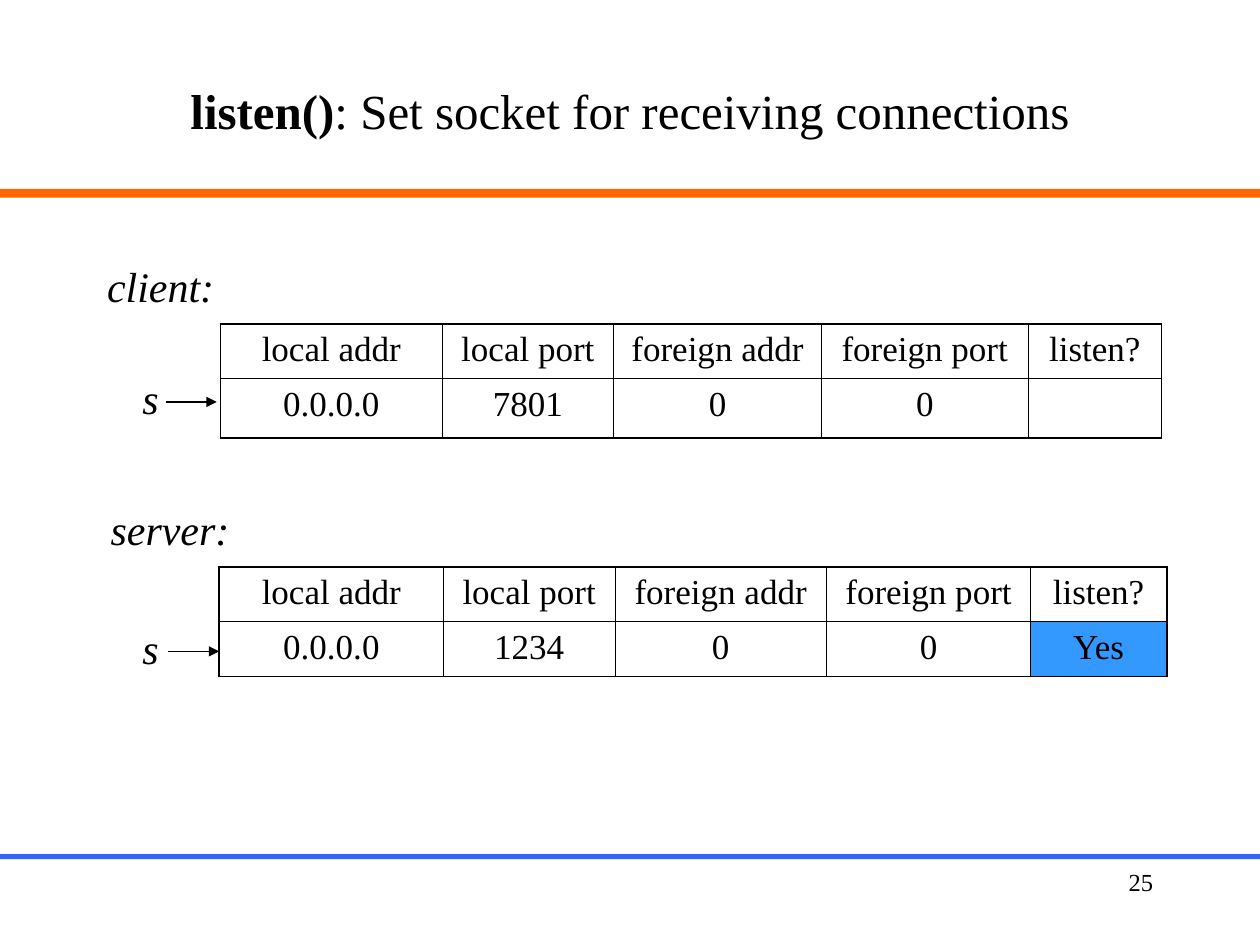
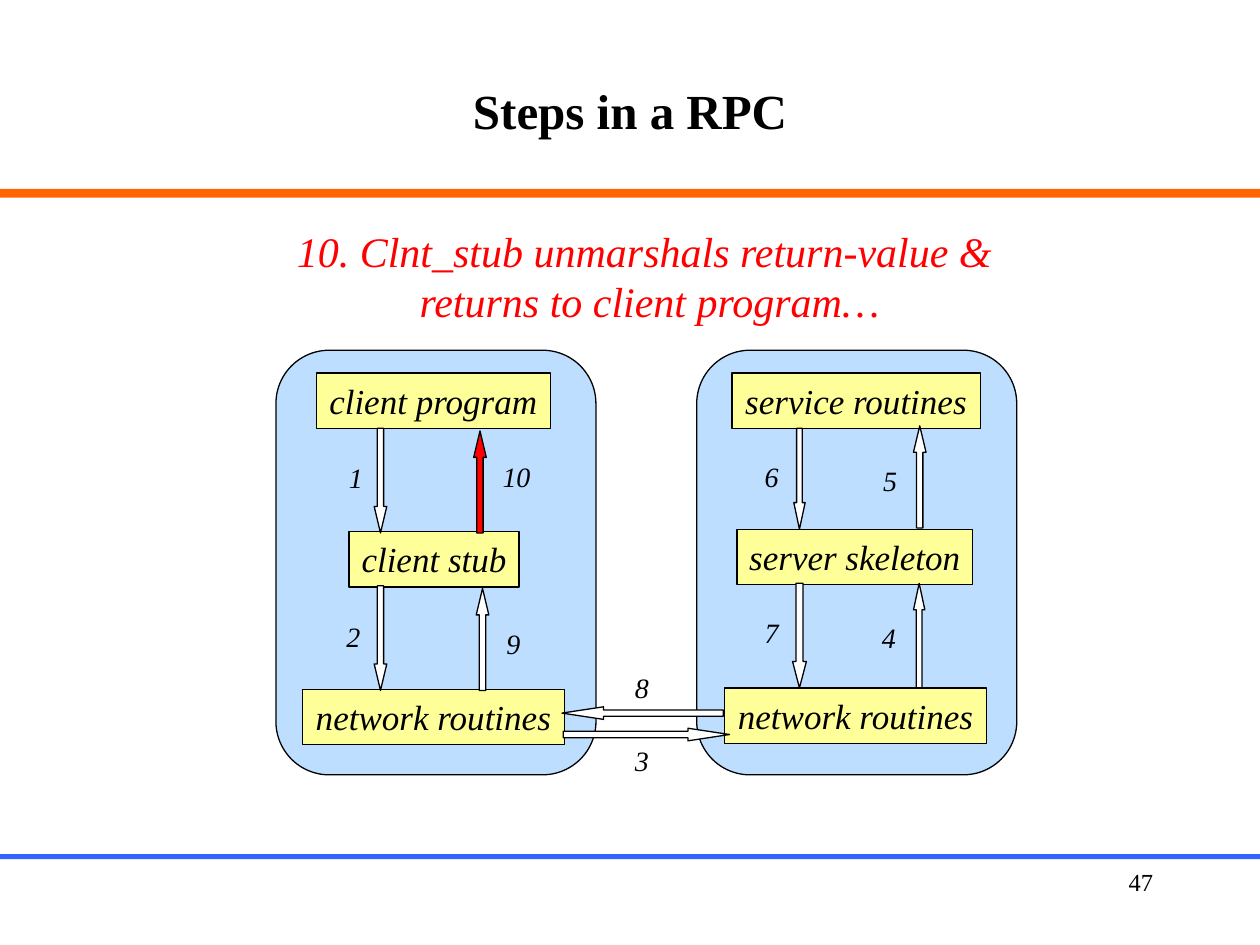
from lxml.etree import SubElement
from pptx import Presentation
from pptx.dml.color import RGBColor
from pptx.enum.shapes import MSO_CONNECTOR, MSO_SHAPE
from pptx.enum.text import MSO_ANCHOR, PP_ALIGN
from pptx.oxml.ns import qn
from pptx.util import Inches, Pt

RECT, ROUND = MSO_SHAPE.RECTANGLE, MSO_SHAPE.ROUNDED_RECTANGLE
UP, DOWN = MSO_SHAPE.UP_ARROW, MSO_SHAPE.DOWN_ARROW
LEFT, RIGHT = MSO_SHAPE.LEFT_ARROW, MSO_SHAPE.RIGHT_ARROW
LINE = MSO_CONNECTOR.STRAIGHT
TOP, MIDDLE = MSO_ANCHOR.TOP, MSO_ANCHOR.MIDDLE
START, CENTER, END = PP_ALIGN.LEFT, PP_ALIGN.CENTER, PP_ALIGN.RIGHT

BLACK = RGBColor(0x00, 0x00, 0x00)
WHITE = RGBColor(0xFF, 0xFF, 0xFF)
ORANGE = RGBColor(0xFF, 0x66, 0x00)
BLUE = RGBColor(0x33, 0x66, 0xFF)
SKY = RGBColor(0x33, 0x99, 0xFF)
YELLOW = RGBColor(0xFF, 0xFF, 0x99)
RED = RGBColor(0xFF, 0x00, 0x00)

FONT = "Times New Roman"
THIN, EDGE, HAIR = 0.74, 1.08, 0.45
BANDS = [(1.5, 0.07, ORANGE), (6.78, 0.04, BLUE)]

HEADS = ["local addr", "local port", "foreign addr", "foreign port", "listen?"]
SOCKETS = [
    {"name": "client:", "at": (0.7, 2.02, 1.15, 0.5),
     "left": 1.75, "top": 2.57, "cols": [1.76, 1.36, 1.65, 1.64, 1.06],
     "rows": [0.43, 0.47], "vals": ["0.0.0.0", "7801", "0", "0", ""],
     "arrow": (1.32, 1.72, 3.19)},
    {"name": "server:", "at": (0.73, 3.95, 1.24, 0.5),
     "left": 1.74, "top": 4.5, "cols": [1.78, 1.36, 1.68, 1.62, 1.08],
     "rows": [0.43, 0.43], "vals": ["0.0.0.0", "1234", "0", "0", "Yes"],
     "arrow": (1.33, 1.74, 5.17)},
]

CAPTION = ["10. Clnt_stub unmarshals return-value & ",
           "returns to client program…"]
PANELS = [2.19, 5.53]
BOXES = [
    ("client program", 2.51, 2.96, 1.86),
    ("client stub", 2.77, 4.22, 1.35),
    ("network routines", 2.4, 5.47, 2.08),
    ("service routines", 5.81, 2.96, 1.97),
    ("server skeleton", 5.85, 4.2, 1.87),
    ("network routines", 5.75, 5.46, 2.08),
]
STEPS = [
    ("1", 2.67, 3.61, DOWN, (2.97, 3.4, 0.1, 0.83)),
    ("2", 2.65, 4.87, DOWN, (2.97, 4.65, 0.1, 0.83)),
    ("3", 4.94, 5.85, RIGHT, (4.47, 5.78, 1.32, 0.1)),
    ("8", 4.94, 5.27, LEFT, (4.46, 5.61, 1.28, 0.1)),
    ("9", 3.92, 4.92, UP, (3.78, 4.67, 0.1, 0.81)),
    ("10", 3.89, 3.6, UP, (3.76, 3.42, 0.1, 0.81)),
    ("4", 6.9, 4.88, UP, (7.25, 4.63, 0.09, 0.83)),
    ("5", 6.91, 3.63, UP, (7.25, 3.38, 0.1, 0.81)),
    ("6", 5.97, 3.6, DOWN, (6.3, 3.4, 0.09, 0.8)),
    ("7", 5.97, 4.84, DOWN, (6.29, 4.63, 0.11, 0.83)),
]


def inch(at):
    return [Inches(v) for v in at]


def style(run, size, color=BLACK, bold=False, slant=False):
    font = run.font
    font.name, font.size = FONT, Pt(size)
    font.bold, font.italic = bold, slant
    font.color.rgb = color


def write(frame, lines, size, align=CENTER, color=BLACK, slant=True):
    frame.text = "\n".join(lines)
    for para in frame.paragraphs:
        para.alignment = align
        for run in para.runs:
            style(run, size, color, slant=slant)


def label(slide, lines, at, size, wrap=False, **look):
    frame = slide.shapes.add_textbox(*inch(at)).text_frame
    frame.word_wrap = wrap
    write(frame, lines, size, **look)


def block(slide, kind, at, fill, line=True):
    shape = slide.shapes.add_shape(kind, *inch(at))
    shape.shadow.inherit = False
    shape.fill.solid()
    shape.fill.fore_color.rgb = fill
    if line:
        shape.line.color.rgb = BLACK
        shape.line.width = Pt(THIN)
    else:
        shape.line.fill.background()
    return shape


def start(deck, title, number):
    slide = deck.slides.add_slide(deck.slide_layouts[5])
    for top, high, color in BANDS:
        block(slide, RECT, (0, top, 10, high), color, line=False)
    label(slide, [number], (7.17, 6.83, 2.08, 0.5), 14, wrap=True,
          align=END, slant=False)
    head = slide.shapes.title
    head.left, head.top, head.width, head.height = inch((0.75, 0.25, 8.5, 1.25))
    head.text_frame.vertical_anchor = MIDDLE
    para = head.text_frame.paragraphs[0]
    para.alignment = CENTER
    for text, bold in title:
        run = para.add_run()
        run.text = text
        style(run, 28, bold=bold)
    return slide


def border(cell, sides):
    props = cell._tc.get_or_add_tcPr()
    for side, width in sides.items():
        line = SubElement(props, qn("a:ln" + side), w=str(Pt(width)))
        fill = SubElement(line, qn("a:solidFill"))
        SubElement(fill, qn("a:srgbClr"), val=str(BLACK))


def grid(slide, sock):
    cols, rows = sock["cols"], sock["rows"]
    at = sock["left"], sock["top"], sum(cols), sum(rows)
    table = slide.shapes.add_table(2, len(cols), *inch(at)).table
    table.first_row = table.horz_banding = False
    for col, wide in zip(table.columns, cols):
        col.width = Inches(wide)
    for r, texts in enumerate([HEADS, sock["vals"]]):
        table.rows[r].height = Inches(rows[r])
        for c, text in enumerate(texts):
            cell = table.cell(r, c)
            write(cell.text_frame, [text], 20, slant=False)
            cell.text_frame.paragraphs[0].space_before = Pt(5)
            border(cell, {"L": HAIR if c else EDGE,
                          "R": EDGE if c == len(cols) - 1 else HAIR,
                          "T": HAIR if r else EDGE,
                          "B": EDGE if r else HAIR})
            if text == "Yes":
                cell.fill.solid()
                cell.fill.fore_color.rgb = SKY
            else:
                cell.fill.background()


def pointer(slide, left, right, y):
    link = slide.shapes.add_connector(LINE, *inch((left, y, right, y)))
    link.line.color.rgb = BLACK
    link.line.width = Pt(THIN)
    props = link._element.spPr
    SubElement(props.find(qn("a:ln")), qn("a:tailEnd"), type="triangle")
    SubElement(props, qn("a:effectLst"))


def sockets(deck):
    slide = start(deck, [("listen()", True),
                         (": Set socket for receiving connections", False)], "25")
    for sock in SOCKETS:
        grid(slide, sock)
        label(slide, [sock["name"]], sock["at"], 24)
        y = sock["arrow"][2]
        pointer(slide, *sock["arrow"])
        label(slide, ["s"], (1.03, y - 0.28, 0.33, 0.5), 24)


def steps(deck):
    slide = start(deck, [("Steps in a RPC", True)], "47")
    for left in PANELS:
        panel = block(slide, ROUND, (left, 2.78, 2.54, 3.37), SKY)
        tint = panel._element.spPr.find(qn("a:solidFill"))[0]
        SubElement(tint, qn("a:alpha"), val="32000")
    for text, left, top, wide in BOXES:
        box = block(slide, RECT, (left, top, wide, 0.44), YELLOW)
        frame = box.text_frame
        frame.word_wrap = False
        frame.vertical_anchor = TOP
        write(frame, [text], 20)
    label(slide, CAPTION, (2.25, 1.74, 5.81, 0.9), 24, color=RED)
    for text, left, top, kind, at in STEPS:
        arrow = block(slide, kind, at, RED if text == "10" else WHITE)
        tip = 0.33 if kind in (LEFT, RIGHT) else 0.21
        arrow.adjustments[1] = tip / min(at[2:])
        label(slide, [text], (left, top, 0.52, 0.37), 16, wrap=True, align=START)


deck = Presentation()
deck.slide_width, deck.slide_height = Inches(10), Inches(7.5)
sockets(deck)
steps(deck)
deck.save("out.pptx")
